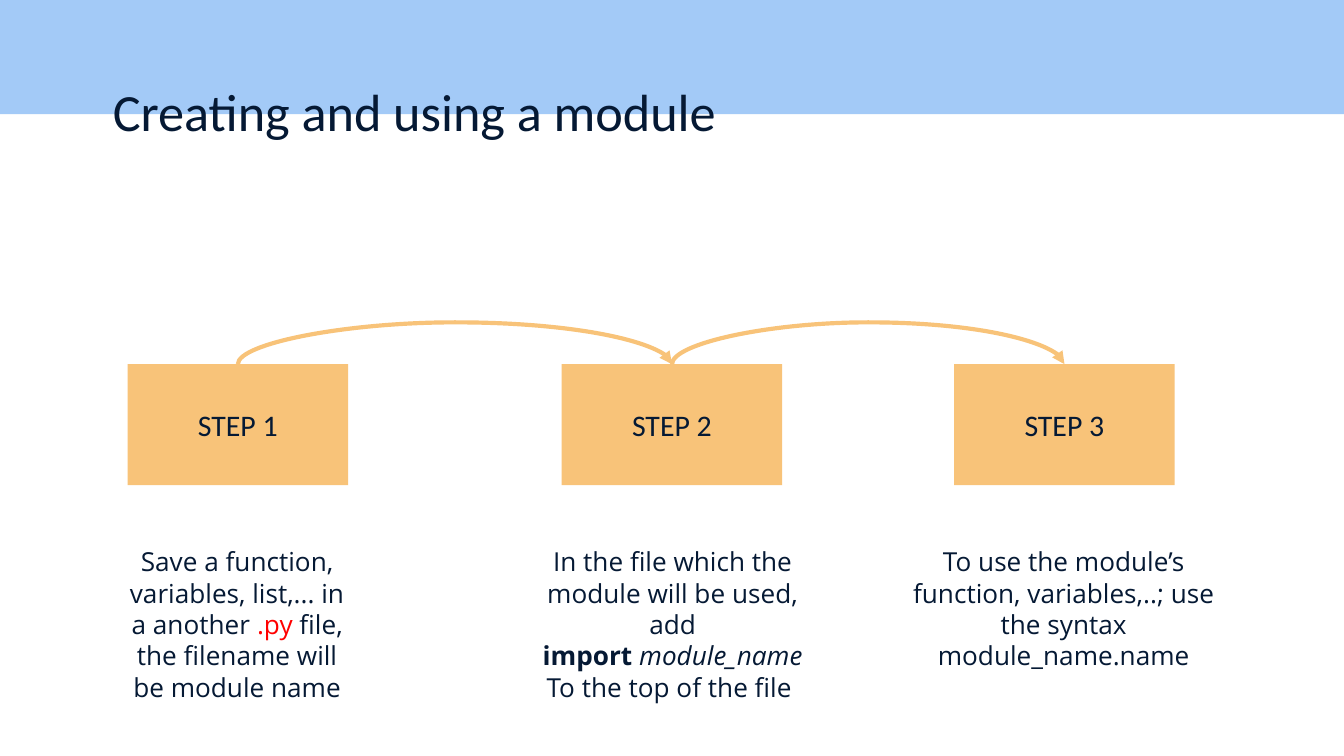
from dataclasses import dataclass
from itertools import pairwise

from lxml import etree
from pptx import Presentation
from pptx.dml.color import RGBColor
from pptx.enum.shapes import MSO_CONNECTOR, MSO_SHAPE
from pptx.enum.text import MSO_ANCHOR, PP_ALIGN
from pptx.oxml.ns import qn
from pptx.util import Emu, Inches, Pt

NAVY = RGBColor(0x05, 0x19, 0x34)
RED = RGBColor(0xFF, 0x00, 0x00)
SKY = RGBColor(0xA3, 0xCA, 0xF7)
APRICOT = RGBColor(0xF8, 0xC3, 0x79)

WIDTH = 10
HEIGHT = WIDTH * 9 / 16
BOX_WIDTH, BOX_HEIGHT, BOX_TOP = 1.64, 0.9, 2.71
NOTE_TOP = 3.96
ARC_RISE = Inches(0.26)
ARC_THICKNESS = Emu(600)


@dataclass(frozen=True)
class Span:
    text: str
    color: RGBColor = NAVY
    bold: bool = False
    italic: bool = False
    break_before: bool = False


@dataclass(frozen=True)
class Step:
    label: str
    center: float
    note_left: float
    note_width: float
    note_height: float
    paragraphs: tuple[tuple[Span, ...], ...]


STEPS = (
    Step("STEP 1", 1.77, 0.85, 1.83, 1.32, ((
        Span("Save a function, variables, list,... in a another "),
        Span(".py", RED),
        Span(" file, the filename will be module name"),
    ),)),
    Step("STEP 2", 5, 3.88, 2.25, 1.23, (
        (
            Span("In the file which the module will be used, add"),
            Span("import ", bold=True, break_before=True),
            Span("module_name", italic=True),
        ),
        (Span("To the top of the file "),),
    )),
    Step("STEP 3", 7.92, 6.67, 2.49, 1, ((
        Span("To use the module’s function, variables,..; use the syntax module_name.name"),
    ),)),
)


def set_frame(frame, anchor=MSO_ANCHOR.TOP) -> None:
    frame.word_wrap = True
    frame.vertical_anchor = anchor
    frame.margin_left = frame.margin_right = Inches(0.1)
    frame.margin_top = frame.margin_bottom = Inches(0.1)


def add_span(paragraph, span: Span, font: str, size: float) -> None:
    if span.break_before:
        paragraph.add_line_break()
    run = paragraph.add_run()
    run.text = span.text
    run.font.name, run.font.size = font, Pt(size)
    run.font.color.rgb = span.color
    run.font.bold, run.font.italic = span.bold, span.italic


def add_block(slide, left: float, top: float, width: float, height: float, color: RGBColor):
    block = slide.shapes.add_shape(
        MSO_SHAPE.RECTANGLE, Inches(left), Inches(top), Inches(width), Inches(height))
    block.shadow.inherit = False
    block.fill.solid()
    block.fill.fore_color.rgb = color
    block.line.fill.background()
    return block


def add_title(slide, text: str) -> None:
    title = slide.shapes.title
    title.left, title.top = Inches(0.74), Inches(0.49)
    title.width, title.height = Inches(7.73), Inches(0.63)
    set_frame(title.text_frame)
    paragraph = title.text_frame.paragraphs[0]
    paragraph.alignment = PP_ALIGN.LEFT
    add_span(paragraph, Span(text), "Calibri", 28)


def add_step(slide, step: Step):
    box = add_block(slide, step.center - BOX_WIDTH / 2, BOX_TOP, BOX_WIDTH, BOX_HEIGHT, APRICOT)
    set_frame(box.text_frame, MSO_ANCHOR.MIDDLE)
    label = box.text_frame.paragraphs[0]
    label.alignment = PP_ALIGN.CENTER
    add_span(label, Span(step.label), "Calibri", 16)

    note = slide.shapes.add_textbox(
        Inches(step.note_left), Inches(NOTE_TOP), Inches(step.note_width), Inches(step.note_height))
    frame = note.text_frame
    set_frame(frame)
    for index, spans in enumerate(step.paragraphs):
        paragraph = frame.add_paragraph() if index else frame.paragraphs[0]
        paragraph.alignment = PP_ALIGN.CENTER
        paragraph.line_spacing = 1.0
        for span in spans:
            add_span(paragraph, span, "Open Sans", 14)
    return box


def add_arc(slide, start, end) -> None:
    arc = slide.shapes.add_connector(MSO_CONNECTOR.CURVE, 0, 0, 0, 0)
    arc.begin_connect(start, 0)
    arc.end_connect(end, 0)
    span = end.left - start.left
    arc.left = start.left + (start.width + span - ARC_THICKNESS) // 2
    arc.top = start.top - span // 2
    arc.width, arc.height = ARC_THICKNESS, span
    arc.line.color.rgb = APRICOT
    arc.line.width = Pt(2.25)

    properties = arc._element.spPr
    transform = properties.find(qn("a:xfrm"))
    transform.set("rot", str(270 * 60000))
    for flip in ("flipH", "flipV"):
        transform.attrib.pop(flip, None)
    geometry = properties.find(qn("a:prstGeom"))
    adjustments = geometry.find(qn("a:avLst"))
    if adjustments is None:
        adjustments = etree.SubElement(geometry, qn("a:avLst"))
    bend = round(ARC_RISE / ARC_THICKNESS * 100000)
    etree.SubElement(adjustments, qn("a:gd"), name="adj1", fmla=f"val {bend}")
    etree.SubElement(properties.find(qn("a:ln")), qn("a:tailEnd"), type="triangle")
    etree.SubElement(properties, qn("a:effectLst"))


def main() -> None:
    deck = Presentation()
    deck.slide_width, deck.slide_height = Inches(WIDTH), Inches(HEIGHT)
    slide = deck.slides.add_slide(deck.slide_layouts[5])
    band = add_block(slide, 0, 0, WIDTH, 0.85, SKY)
    slide.shapes.title._element.addprevious(band._element)
    add_title(slide, "Creating and using a module")
    boxes = [add_step(slide, step) for step in STEPS]
    for start, end in pairwise(boxes):
        add_arc(slide, start, end)
    deck.save("out.pptx")


main()
